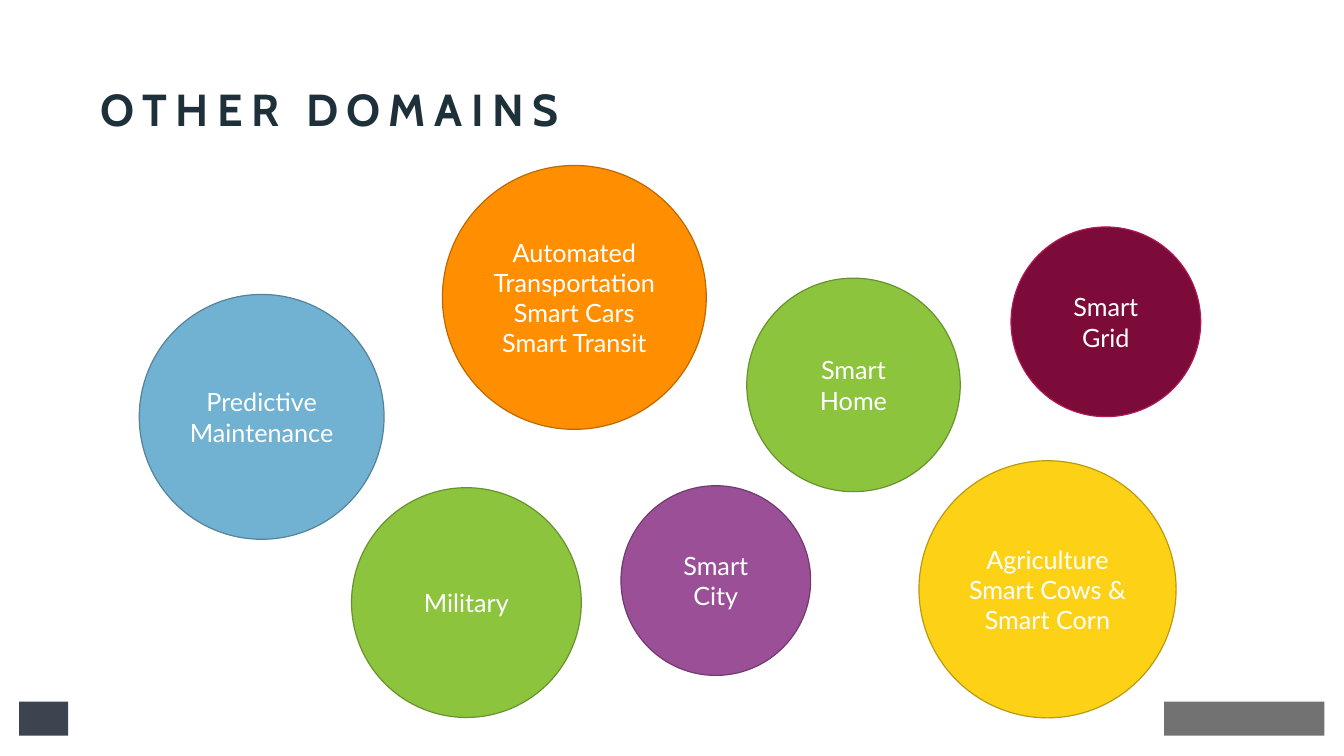
from pptx import Presentation
from pptx.dml.color import RGBColor
from pptx.enum.shapes import MSO_SHAPE
from pptx.enum.text import MSO_ANCHOR, PP_ALIGN
from pptx.util import Cm, Pt

CIRCLE = MSO_SHAPE.OVAL
BAR = MSO_SHAPE.RECTANGLE
MIDDLE = MSO_ANCHOR.MIDDLE
CENTER = PP_ALIGN.CENTER


def color(hex_value):
    return RGBColor.from_string(hex_value)


def add_filled(kind, left, top, width, height, fill):
    shape = slide.shapes.add_shape(kind, Cm(left), Cm(top), Cm(width), Cm(height))
    shape.shadow.inherit = False
    shape.fill.solid()
    shape.fill.fore_color.rgb = color(fill)
    return shape


deck = Presentation()
deck.slide_width, deck.slide_height = Cm(33.87), Cm(19.05)
slide = deck.slides.add_slide(deck.slide_layouts[6])

# Plain marks in the two bottom corners
for left, width, fill in [(0.48, 1.24, "3C454F"), (29.34, 4.04, "727272")]:
    mark = add_filled(BAR, left, 17.68, width, 0.86, fill)
    mark.line.fill.background()

# Title
title = slide.shapes.add_textbox(Cm(2.29), Cm(0.97), Cm(29.21), Cm(3.68))
title.text_frame.word_wrap = True
title.text_frame.vertical_anchor = MIDDLE
heading = title.text_frame.paragraphs[0]
heading.line_spacing = 0.9
run = heading.add_run()
run.text = "OTHER DOMAINS"
run.font.name, run.font.size, run.font.bold = "Cabin", Pt(32), True
run.font.color.rgb = color("1E313B")
run._r.get_or_add_rPr().set("spc", "600")

# Domain circles: left, top, diameter, fill, outline, paragraphs of lines
domains = [
    (3.51, 7.42, 6.17, "71B1D1", "54839B", [["Predictive Maintenance"]]),
    (11.15, 4.17, 6.65, "FF8E00", "BD6900",
     [["Automated Transportation", "Smart Cars"], ["Smart Transit"]]),
    (18.82, 7.01, 5.38, "8CC53D", "68922D", [["Smart Home"]]),
    (15.65, 12.24, 4.78, "9B4F96", "733A6F", [["Smart City"]]),
    (25.48, 5.72, 4.78, "7C0B3A", "AF1957", [["Smart Grid"]]),
    (23.16, 11.61, 6.48, "FCD116", "BA9B10",
     [["Agriculture", "Smart Cows &", "Smart Corn"]]),
    (8.86, 12.29, 5.79, "8CC53D", "68922D", [["Military"]]),
]
for left, top, diameter, fill, outline, paragraphs in domains:
    domain = add_filled(CIRCLE, left, top, diameter, diameter, fill)
    domain.line.color.rgb = color(outline)
    domain.line.width = Pt(0.85)
    frame = domain.text_frame
    frame.word_wrap = True
    frame.vertical_anchor = MIDDLE
    for p, lines in enumerate(paragraphs):
        paragraph = frame.add_paragraph() if p else frame.paragraphs[0]
        paragraph.alignment = CENTER
        for i, line in enumerate(lines):
            if i:
                paragraph.add_line_break()
            run = paragraph.add_run()
            run.text = line
            run.font.name, run.font.size = "Lato", Pt(18)
            run.font.color.rgb = color("FFFFFF")

deck.save("out.pptx")
